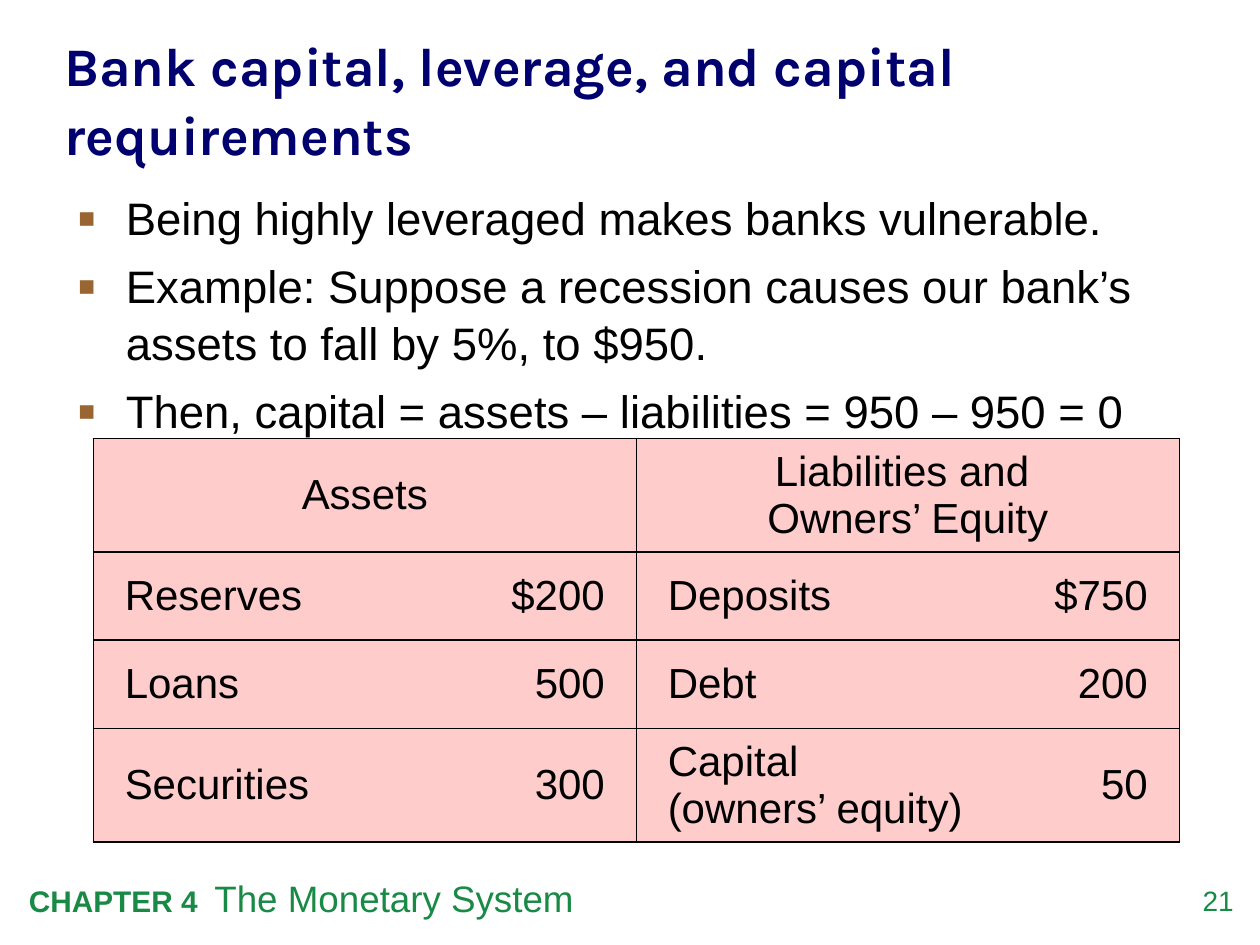
import pptx
import pptx.dml.color
import pptx.enum.text
import pptx.oxml
import pptx.oxml.ns
import pptx.util
import lxml.etree

RGBColor = pptx.dml.color.RGBColor
Align = pptx.enum.text.PP_ALIGN
Anchor = pptx.enum.text.MSO_ANCHOR
Pt = pptx.util.Pt

NAVY = RGBColor(0x00, 0x00, 0x6E)
GREEN = RGBColor(0x19, 0x8A, 0x46)
BLACK = RGBColor(0x00, 0x00, 0x00)
BROWN = RGBColor(0x99, 0x66, 0x33)
PINK = RGBColor(0xFF, 0xCC, 0xCC)

GRID_STEP = pptx.util.Inches(0.1)
GRID_COLUMNS, GRID_ROWS = 100, 75

TITLE = "Bank capital, leverage, and capital requirements"
POINTS = [
    "Being highly leveraged makes banks vulnerable.",
    "Example: Suppose a recession causes our bank’s assets to fall by 5%, to $950.",
    "Then, capital = assets – liabilities = 950 – 950 = 0",
]
HEADINGS = ["Assets", "Liabilities and \vOwners’ Equity"]
ENTRIES = [
    ["Reserves", "$200", "Deposits", "$750"],
    ["Loans", "500", "Debt", "200"],
    ["Securities", "300", "Capital \v(owners’ equity)", "50"],
]
COLUMN_WIDTHS = [28.1, 15, 28.8, 14.3]
ROW_HEIGHTS = [9, 7, 7, 9]


def grid(count):
    return round(count * GRID_STEP)


def set_font(font, size, color, name="Arial", bold=False):
    font.name, font.size, font.bold = name, Pt(size), bold
    font.color.rgb = color


def set_margins(target, horizontal, vertical):
    target.margin_left = target.margin_right = grid(horizontal)
    target.margin_top = target.margin_bottom = grid(vertical)


def add_text_frame(slide, box):
    frame = slide.shapes.add_textbox(*map(grid, box)).text_frame
    frame.word_wrap = True
    return frame


def place_title(slide, box):
    title = slide.shapes.title
    title.left, title.top, title.width, title.height = map(grid, box)
    frame = title.text_frame
    frame.text = TITLE
    frame.word_wrap = True
    frame.vertical_anchor = Anchor.MIDDLE
    set_margins(frame, 0, 0)
    paragraph = frame.paragraphs[0]
    paragraph.alignment = Align.LEFT
    paragraph.line_spacing = 1.05
    set_font(paragraph.font, 31, NAVY, "Karla", True)


def add_bullet(paragraph):
    properties = paragraph._p.get_or_add_pPr()
    indent = grid(3.8)
    properties.set("marL", str(indent))
    properties.set("indent", str(-indent))
    qualified = pptx.oxml.ns.qn
    color = lxml.etree.SubElement(properties, qualified("a:buClr"))
    lxml.etree.SubElement(color, qualified("a:srgbClr"), val=str(BROWN))
    lxml.etree.SubElement(properties, qualified("a:buSzPct"), val="120000")
    lxml.etree.SubElement(properties, qualified("a:buFont"), typeface="Arial")
    lxml.etree.SubElement(properties, qualified("a:buChar"), char="▪")


def place_points(slide, box):
    frame = add_text_frame(slide, box)
    frame.text = "\n".join(POINTS)
    for paragraph in frame.paragraphs:
        add_bullet(paragraph)
        paragraph.line_spacing = 1.05
        paragraph.space_before = Pt(6)
        set_font(paragraph.font, 26, BLACK)


def set_borders(cell, open_side=None):
    properties = cell._tc.get_or_add_tcPr()
    namespace = pptx.oxml.ns.nsdecls("a")
    for position, side in enumerate("LRTB"):
        fill = "<a:noFill/>"
        if side != open_side:
            fill = f'<a:solidFill><a:srgbClr val="{BLACK}"/></a:solidFill>'
        line = f'<a:ln{side} {namespace} w="{Pt(1)}">{fill}</a:ln{side}>'
        properties.insert(position, pptx.oxml.parse_xml(line))


def format_cell(cell, text, alignment, margin, open_side=None):
    cell.text = text
    cell.vertical_anchor = Anchor.MIDDLE
    set_margins(cell, margin, 0.5)
    paragraph = cell.text_frame.paragraphs[0]
    paragraph.alignment = alignment
    set_font(paragraph.font, 24, BLACK)
    cell.fill.solid()
    cell.fill.fore_color.rgb = PINK
    set_borders(cell, open_side)


def place_balance_sheet(slide, left, top):
    table = slide.shapes.add_table(
        len(ROW_HEIGHTS), len(COLUMN_WIDTHS), grid(left), grid(top),
        grid(sum(COLUMN_WIDTHS)), grid(sum(ROW_HEIGHTS))).table
    table.first_row = table.horz_banding = False
    for column, width in zip(table.columns, COLUMN_WIDTHS):
        column.width = grid(width)
    for row, height in zip(table.rows, ROW_HEIGHTS):
        row.height = grid(height)
    for index, heading in enumerate(HEADINGS):
        first, second = table.cell(0, 2 * index), table.cell(0, 2 * index + 1)
        first.merge(second)
        format_cell(first, heading, Align.CENTER, 1)
        set_borders(second)
    for row_index, entries in enumerate(ENTRIES, 1):
        for column_index, text in enumerate(entries):
            is_amount = column_index % 2 == 1
            format_cell(table.cell(row_index, column_index), text,
                        Align.RIGHT if is_amount else Align.LEFT, 2.5,
                        "L" if is_amount else "R")


def place_footer(slide, chapter_box, number_box):
    paragraph = add_text_frame(slide, chapter_box).paragraphs[0]
    for text, size, bold in [("CHAPTER 4  ", 17, True),
                             ("The Monetary System", 21, False)]:
        run = paragraph.add_run()
        run.text = text
        set_font(run.font, size, GREEN, bold=bold)
    frame = add_text_frame(slide, number_box)
    set_margins(frame, 0, 0)
    frame.text = "21"
    frame.paragraphs[0].alignment = Align.RIGHT
    set_font(frame.paragraphs[0].font, 16, GREEN)


def main():
    presentation = pptx.Presentation()
    presentation.slide_width = grid(GRID_COLUMNS)
    presentation.slide_height = grid(GRID_ROWS)
    title_only = presentation.slide_layouts.get_by_name("Title Only")
    slide = presentation.slides.add_slide(title_only)
    place_footer(slide, (1.3, 69, 81.8, 4.5), (92.4, 70.1, 5.5, 3.2))
    place_title(slide, (5.1, 2.6, 90.2, 10.3))
    place_points(slide, (5.2, 14.4, 89.8, 52.6))
    place_balance_sheet(slide, 7.4, 34.8)
    presentation.save("out.pptx")


if __name__ == "__main__":
    main()
